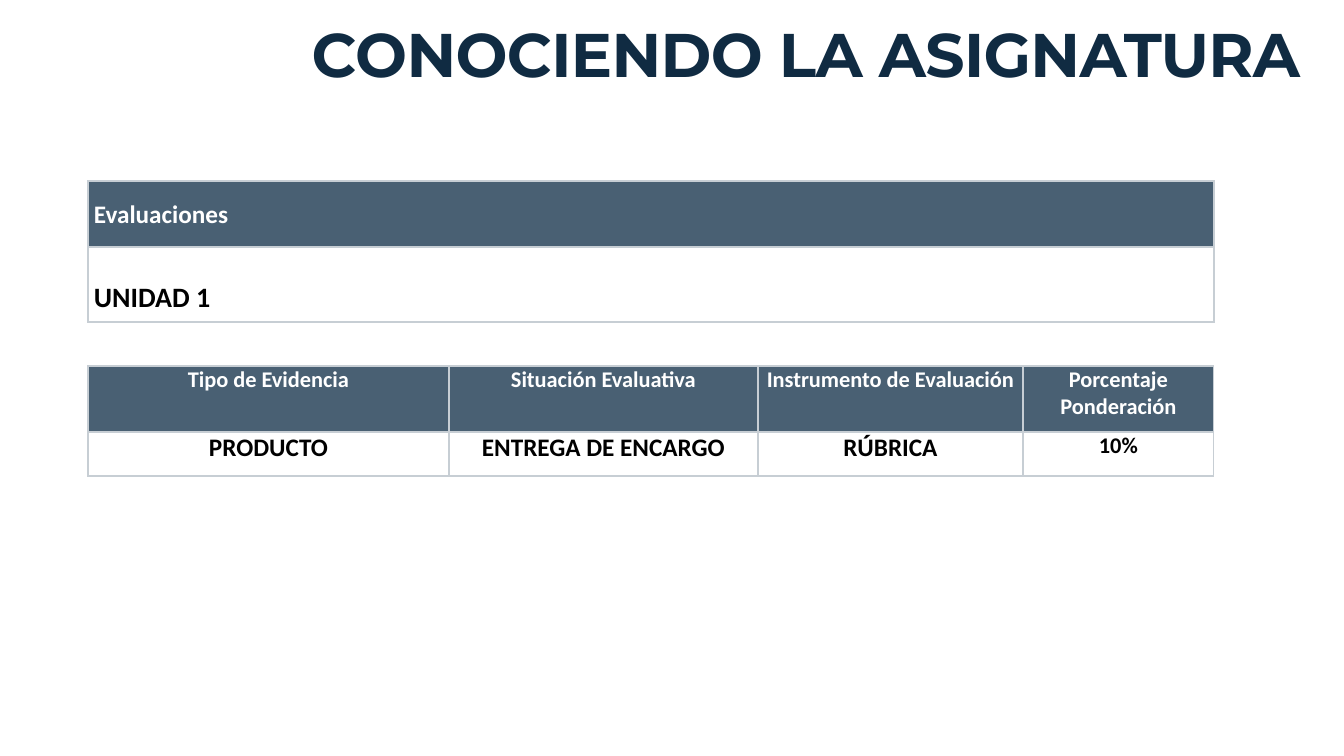
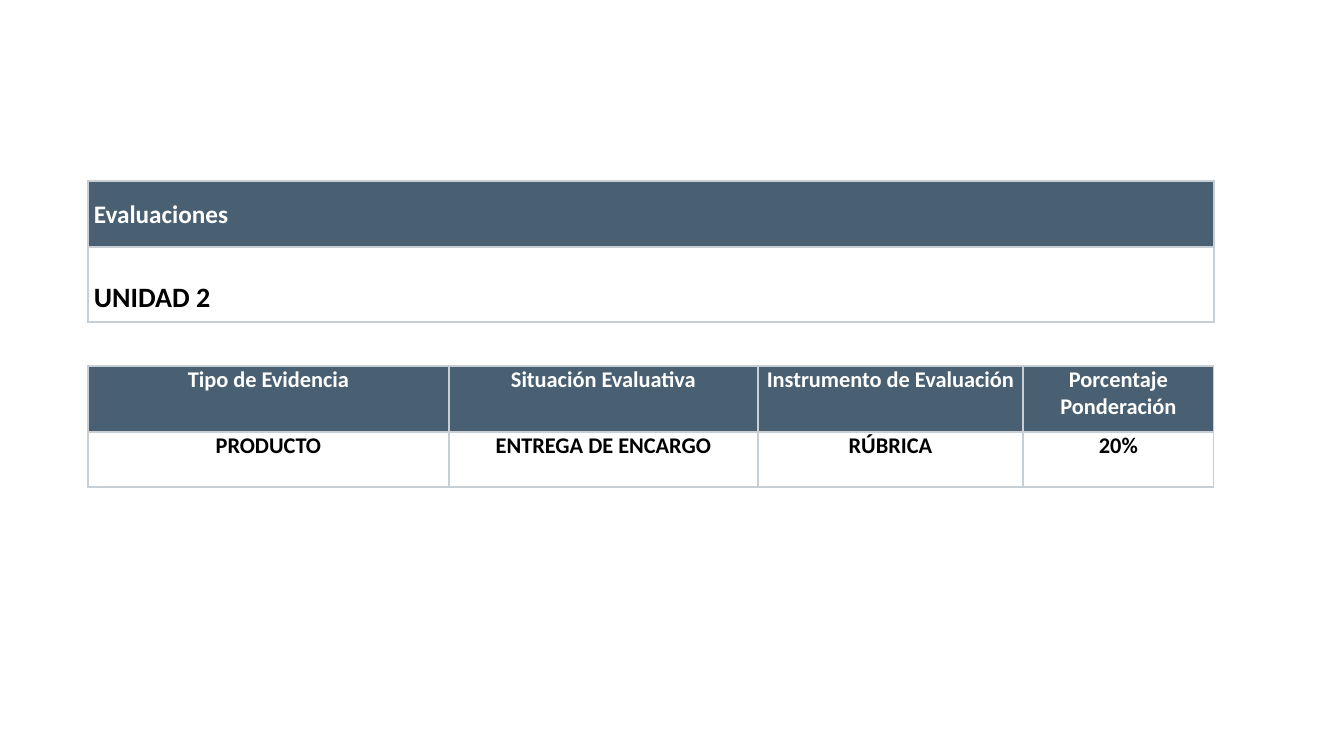
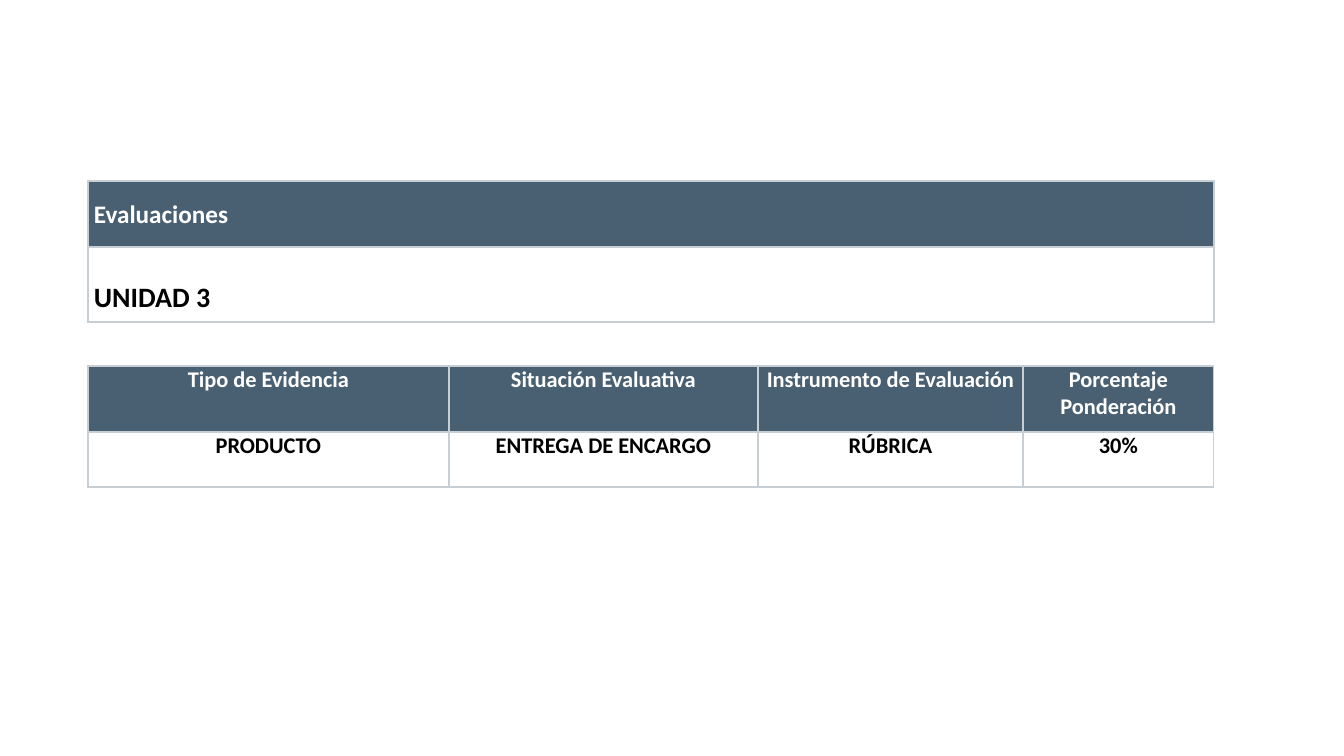
from dataclasses import dataclass
from typing import Sequence

from lxml.etree import SubElement
from pptx import Presentation
from pptx.dml.color import RGBColor
from pptx.enum.text import MSO_ANCHOR as Anchor, PP_ALIGN as Align
from pptx.oxml.ns import qn
from pptx.slide import Slide
from pptx.table import Table, _Cell as Cell
from pptx.text.text import _Paragraph as Paragraph
from pptx.util import Emu, Pt

SLIDE_W, SLIDE_H = 1344, 756
EMU_PER_PX = 12192000 / SLIDE_W

NAVY, SLATE, RULE = "102B42", "496073", "C7CED4"
WHITE, BLACK = "FFFFFF", "000000"
TITLE_FONT, BODY_FONT = "Montserrat", "Calibri"

TABLE_LEFT = 88
UNIT_TOP, EVIDENCE_TOP = 181, 366
HEADER_H, UNIT_H = 66, 75
CELL_INSET = 6
COLUMNS = {
    "Tipo de Evidencia": 361,
    "Situación Evaluativa": 309,
    "Instrumento de Evaluación": 265,
    "Porcentaje Ponderación": 191,
}


@dataclass(frozen=True)
class Style:
    size: int
    color: str
    font: str = BODY_FONT
    align: Align = Align.CENTER


@dataclass(frozen=True)
class Unit:
    name: str
    weight: str
    evidence_size: int = 16
    evidence_h: int = 55
    title: str = ""


TITLE = Style(44, NAVY, TITLE_FONT)
BANNER = Style(18, WHITE, align=Align.JUSTIFY)
UNIT_NAME = Style(20, BLACK, align=Align.LEFT)
HEADING = Style(16, WHITE)
WEIGHT = Style(16, BLACK)

UNITS = (
    Unit("UNIDAD 1", "10%", evidence_size=18, evidence_h=44,
         title="CONOCIENDO LA ASIGNATURA"),
    Unit("UNIDAD 2", "20%"),
    Unit("UNIDAD 3", "30%"),
)


def px(length: int) -> Emu:
    return Emu(round(length * EMU_PER_PX))


def rgb(color: str) -> RGBColor:
    return RGBColor.from_string(color)


def write(paragraph: Paragraph, text: str, style: Style) -> None:
    paragraph.alignment = style.align
    run = paragraph.add_run()
    run.text = text
    run.font.name = style.font
    run.font.size = Pt(style.size)
    run.font.bold = True
    run.font.color.rgb = rgb(style.color)


def add_borders(cell: Cell) -> None:
    properties = cell._tc.get_or_add_tcPr()
    for side in ("a:lnL", "a:lnR", "a:lnT", "a:lnB"):
        line = SubElement(properties, qn(side), w=str(Pt(1)))
        fill = SubElement(line, qn("a:solidFill"))
        SubElement(fill, qn("a:srgbClr"), val=RULE)


def fill_cell(cell: Cell, text: str, style: Style, fill: str = "",
              anchor: Anchor = Anchor.TOP) -> Paragraph:
    add_borders(cell)
    if fill:
        cell.fill.solid()
        cell.fill.fore_color.rgb = rgb(fill)
    else:
        cell.fill.background()
    cell.margin_left = cell.margin_right = px(CELL_INSET)
    cell.margin_top = cell.margin_bottom = 0
    cell.vertical_anchor = anchor
    paragraph = cell.text_frame.paragraphs[0]
    write(paragraph, text, style)
    return paragraph


def add_grid(slide: Slide, top: int, widths: Sequence[int],
             heights: Sequence[int]) -> Table:
    grid = slide.shapes.add_table(
        len(heights), len(widths), px(TABLE_LEFT), px(top),
        px(sum(widths)), px(sum(heights))).table
    grid.horz_banding = False
    for column, width in zip(grid.columns, widths):
        column.width = px(width)
    for row, height in zip(grid.rows, heights):
        row.height = px(height)
    return grid


def add_title(slide: Slide, text: str) -> None:
    frame = slide.shapes.add_textbox(px(268), px(25), px(1076), px(67)).text_frame
    frame.word_wrap = True
    frame.vertical_anchor = Anchor.MIDDLE
    paragraph = frame.paragraphs[0]
    paragraph.line_spacing = 0.85
    write(paragraph, text, TITLE)
    paragraph.runs[0].font._element.set("spc", "-50")


def add_unit_table(slide: Slide, unit: Unit) -> None:
    grid = add_grid(slide, UNIT_TOP, [sum(COLUMNS.values())], [HEADER_H, UNIT_H])
    banner = fill_cell(grid.cell(0, 0), "Evaluaciones", BANNER, SLATE, Anchor.MIDDLE)
    banner.line_spacing = 1.07
    banner.space_after = Pt(8)
    name_cell = grid.cell(1, 0)
    fill_cell(name_cell, unit.name, UNIT_NAME, anchor=Anchor.BOTTOM)
    name_cell.margin_bottom = px(7)


def add_evidence_table(slide: Slide, unit: Unit) -> None:
    grid = add_grid(slide, EVIDENCE_TOP, list(COLUMNS.values()),
                    [HEADER_H, unit.evidence_h])
    evidence = Style(unit.evidence_size, BLACK)
    entries = (("PRODUCTO", evidence), ("ENTREGA DE ENCARGO", evidence),
               ("RÚBRICA", evidence), (unit.weight, WEIGHT))
    for index, (heading, (text, style)) in enumerate(zip(COLUMNS, entries)):
        fill_cell(grid.cell(0, index), heading, HEADING, SLATE)
        fill_cell(grid.cell(1, index), text, style)


def main() -> None:
    deck = Presentation()
    deck.slide_width, deck.slide_height = px(SLIDE_W), px(SLIDE_H)
    blank = deck.slide_layouts[6]
    for unit in UNITS:
        slide = deck.slides.add_slide(blank)
        if unit.title:
            add_title(slide, unit.title)
        add_unit_table(slide, unit)
        add_evidence_table(slide, unit)
    deck.save("out.pptx")


if __name__ == "__main__":
    main()
